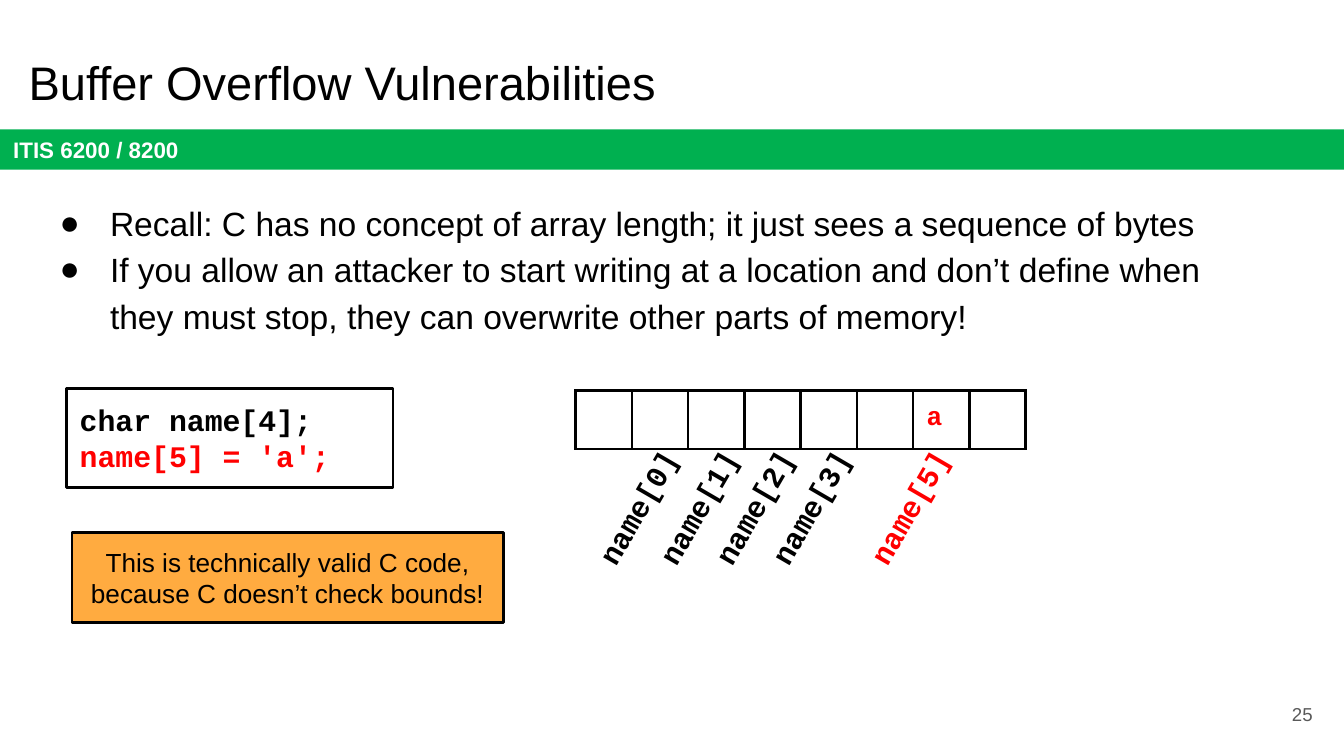
from pptx import Presentation
from pptx.dml.color import RGBColor
from pptx.enum.shapes import MSO_SHAPE
from pptx.enum.text import MSO_ANCHOR, PP_ALIGN
from pptx.oxml import parse_xml
from pptx.oxml.ns import nsdecls
from pptx.util import Inches, Pt

INK = {"black": "000000", "white": "FFFFFF", "green": "00B050",
       "red": "FF0000", "gold": "FFAB40", "gray": "595959"}
SANS, MONO = "Arial", "Courier New"

deck = Presentation()
deck.slide_width = Inches(10)
deck.slide_height = deck.slide_width * 9 // 16
slide = deck.slides.add_slide(deck.slide_layouts[6])
unit = deck.slide_width / 100  # square grid, 100 columns wide
pad = int(unit)


def write(para, text, size, color="black", font=SANS, bold=False):
    run = para.add_run()
    run.text = text
    run.font.size, run.font.name, run.font.bold = Pt(size), font, bold
    run.font.color.rgb = RGBColor.from_string(INK[color])


def box(col, row, wide, high, fill=None, edge=False, mid=False):
    area = [int(n * unit) for n in (col, row, wide, high)]
    if fill:
        shape = slide.shapes.add_shape(MSO_SHAPE.RECTANGLE, *area)
        shape.shadow.inherit = False
        shape.fill.solid()
        shape.fill.fore_color.rgb = RGBColor.from_string(INK[fill])
        if edge:
            shape.line.color.rgb = RGBColor.from_string(INK["black"])
            shape.line.width = Pt(1.5)
        else:
            shape.line.fill.background()
    else:
        shape = slide.shapes.add_textbox(*area)
    frame = shape.text_frame
    frame.word_wrap = True
    frame.margin_left = frame.margin_right = pad
    frame.margin_top = frame.margin_bottom = pad
    frame.vertical_anchor = MSO_ANCHOR.MIDDLE if mid else MSO_ANCHOR.TOP
    frame.paragraphs[0].alignment = PP_ALIGN.LEFT
    return shape


# Course band and title
band = box(0, 9.63, 100, 3, "green", mid=True)
write(band.text_frame.paragraphs[0], "ITIS 6200 / 8200", 12, "white", bold=True)
title = box(1.14, 3, 93.2, 6.3)
write(title.text_frame.paragraphs[0], "Buffer Overflow Vulnerabilities", 25.2)

# Bullets
body = box(2.2, 13.64, 93.2, 14).text_frame
points = [
    "Recall: C has no concept of array length; it just sees a sequence of bytes",
    "If you allow an attacker to start writing at a location and don’t define when "
    "they must stop, they can overwrite other parts of memory!",
]
for i, text in enumerate(points):
    para = body.add_paragraph() if i else body.paragraphs[0]
    para.line_spacing = 1.15
    props = para._p.get_or_add_pPr()
    props.set("marL", str(int(5 * unit)))
    props.set("indent", str(int(-3.75 * unit)))
    props.append(parse_xml(f'<a:buClr {nsdecls("a")}><a:srgbClr val="{INK["black"]}"/></a:buClr>'))
    props.append(parse_xml(f'<a:buFont {nsdecls("a")} typeface="{SANS}"/>'))
    props.append(parse_xml(f'<a:buChar {nsdecls("a")} char="●"/>'))
    write(para, text, 18)

# Page number
page = box(92.65, 51, 6, 4.3, mid=True).text_frame.paragraphs[0]
page.alignment = PP_ALIGN.RIGHT
write(page, "25", 10, "gray")

# Code
code = box(4.95, 28.88, 24.3, 7.4, "white", edge=True).text_frame
write(code.paragraphs[0], "char name[4];", 16, font=MONO, bold=True)
line = code.add_paragraph()
line.alignment = PP_ALIGN.LEFT
write(line, "name[5] = 'a';", 16, "red", MONO, True)

# Memory cells
count, hit = 8, 6
area = [int(n * unit) for n in (42.83, 29.07, 33.5, 4.34)]
grid = slide.shapes.add_table(1, count, *area).table
grid.first_row = grid.horz_banding = False
for i, cell in enumerate(grid.iter_cells()):
    grid.columns[i].width = area[2] // count
    cell.margin_left = cell.margin_right = pad if i == hit else 0
    cell.margin_top = cell.margin_bottom = pad if i == hit else 0
    props = cell._tc.get_or_add_tcPr()
    for side in ("lnL", "lnR", "lnT", "lnB"):
        props.append(parse_xml(
            f'<a:{side} {nsdecls("a")} w="{Pt(1.5)}"><a:solidFill>'
            f'<a:srgbClr val="{INK["black"]}"/></a:solidFill></a:{side}>'))
    cell.fill.background()
write(grid.cell(0, hit).text_frame.paragraphs[0], "a", 14, "red", MONO, True)

# Slanted index labels
for index, col in {0: 41.3, 1: 45.8, 2: 49.95, 3: 54.15, 5: 61.5}.items():
    label = box(col, 34.6, 13.2, 4.7)
    label.rotation = 300.2
    color = "red" if index == 5 else "black"
    write(label.text_frame.paragraphs[0], f"name[{index}]", 16, color, MONO, True)

# Callout
note = box(5.35, 39.65, 32.1, 6.7, "gold", edge=True).text_frame.paragraphs[0]
note.alignment = PP_ALIGN.CENTER
write(note, "This is technically valid C code, because C doesn’t check bounds!", 14)

deck.save("out.pptx")
